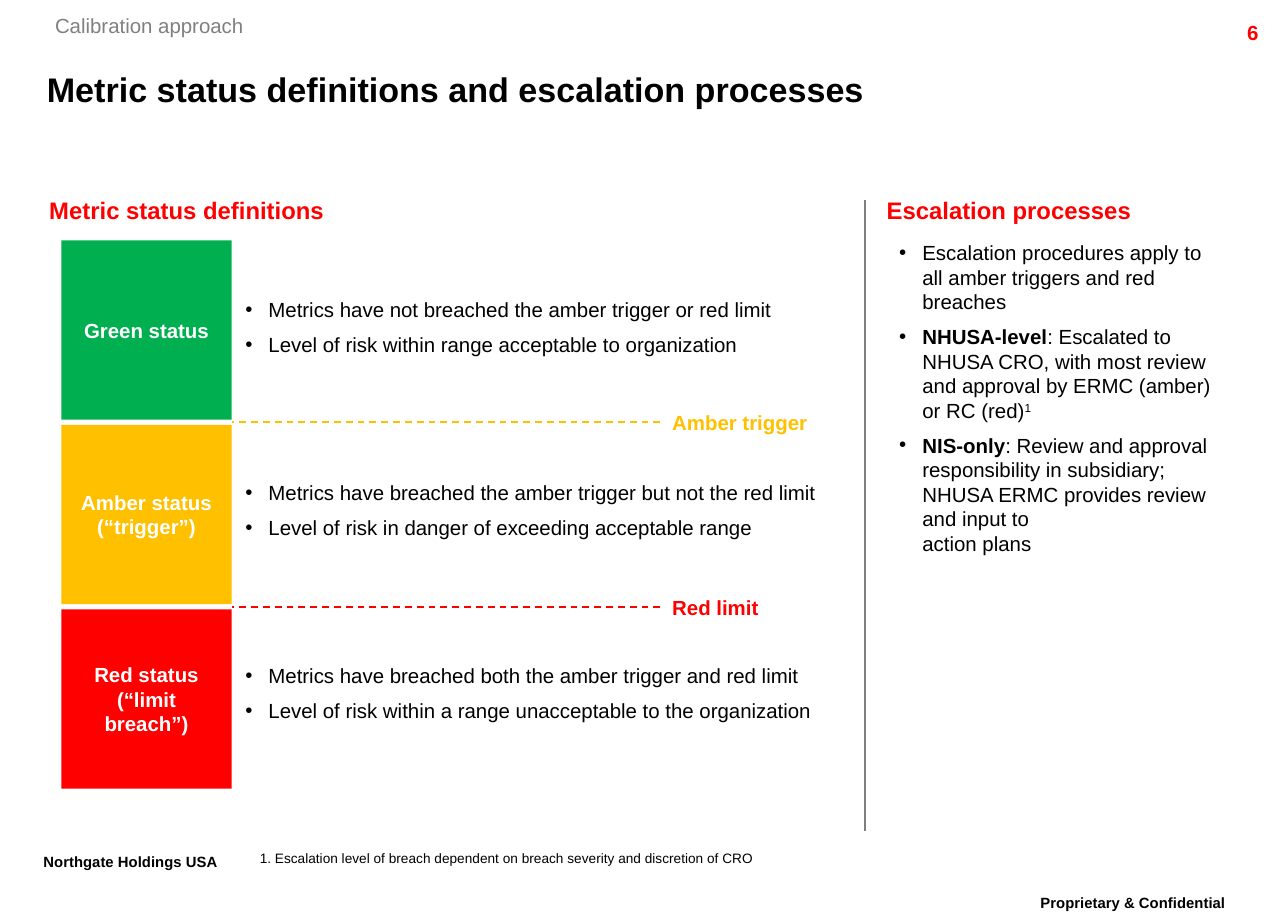
from lxml.etree import SubElement
from pptx import Presentation
from pptx.dml.color import RGBColor as RGB
from pptx.enum.dml import MSO_LINE_DASH_STYLE as DASH
from pptx.enum.shapes import MSO_CONNECTOR as CONN, MSO_SHAPE as SHAPE
from pptx.enum.text import MSO_ANCHOR as ANCHOR, MSO_AUTO_SIZE as AUTO, PP_ALIGN as ALIGN
from pptx.oxml.ns import qn
from pptx.util import Cm, Pt

COLORS = {
    "green": "00B050", "amber": "FFC000", "red": "FF0000", "black": "000000",
    "white": "FFFFFF", "grey": "808080", "rule": "7F7F7F",
}

# Status bars: label, colour, bullets, threshold below the bar with its colour
STATUSES = [
    ("Green status", "green",
     ["Metrics have not breached the amber trigger or red limit",
      "Level of risk within range acceptable to organization"],
     ("Amber trigger", "amber")),
    ("Amber status\n(“trigger”)", "amber",
     ["Metrics have breached the amber trigger but not the red limit",
      "Level of risk in danger of exceeding acceptable range"],
     ("Red limit", "red")),
    ("Red status\n(“limit breach”)", "red",
     ["Metrics have breached both the amber trigger and red limit",
      "Level of risk within a range unacceptable to the organization"],
     None),
]

# A paragraph is a string or a list of (text, style) runs
ESCALATION = [
    "Escalation procedures apply to all amber triggers and red breaches",
    [("NHUSA-level", "bold"),
     (": Escalated to NHUSA CRO, with most review and approval by ERMC (amber)\nor RC (red)", ""),
     ("1", "super")],
    [("NIS-only", "bold"),
     (": Review and approval responsibility in subsidiary; "
      "NHUSA ERMC provides review and input to\naction plans", "")],
]

BAR_LEFT, BAR_TOP, BAR_W, BAR_H, BAR_GAP = 1.27, 4.98, 3.53, 3.71, 0.11
LABEL_LEFT = 13.67


def rgb(name):
    return RGB.from_string(COLORS[name])


def add_bullet(p):
    pPr = p._p.get_or_add_pPr()
    pPr.set("marL", str(Cm(0.48)))
    pPr.set("indent", str(-Cm(0.48)))
    SubElement(pPr, qn("a:buFont")).set("typeface", "Arial")
    SubElement(pPr, qn("a:buChar")).set("char", "•")


def write(tf, paragraphs, size=12, color="black", bold=False, align=ALIGN.LEFT,
          anchor=ANCHOR.TOP, inset=(0, 0), bullets=False, gap=0):
    """Fill a text frame; inset is (sides, top and bottom) in cm."""
    tf.word_wrap = True
    tf.auto_size = AUTO.NONE
    tf.vertical_anchor = anchor
    tf.margin_left = tf.margin_right = Cm(inset[0])
    tf.margin_top = tf.margin_bottom = Cm(inset[1])
    for i, runs in enumerate(paragraphs):
        p = tf.paragraphs[0] if i == 0 else tf.add_paragraph()
        if bullets:
            add_bullet(p)
        p.alignment = align
        p.space_before = Pt(gap if i else 0)
        for text, style in [(runs, "")] if isinstance(runs, str) else runs:
            for j, line in enumerate(text.split("\n")):
                if j:
                    p.add_line_break()
                r = p.add_run()
                r.text = line
                r.font.name = "Arial"
                r.font.size = Pt(size)
                r.font.bold = bold or style == "bold"
                r.font.color.rgb = rgb(color)
                if style == "super":
                    r._r.get_or_add_rPr().set("baseline", "30000")


def add_text(s, box, paragraphs, **fmt):
    tb = s.shapes.add_textbox(*map(Cm, box))
    write(tb.text_frame, paragraphs, **fmt)


def add_bar(s, top, label, color):
    sp = s.shapes.add_shape(SHAPE.RECTANGLE, Cm(BAR_LEFT), Cm(top), Cm(BAR_W), Cm(BAR_H))
    sp.shadow.inherit = False
    sp.fill.solid()
    sp.fill.fore_color.rgb = rgb(color)
    sp.line.fill.background()
    write(sp.text_frame, label.split("\n"), color="white", bold=True,
          align=ALIGN.CENTER, anchor=ANCHOR.MIDDLE, inset=(0.25, 0.13))


def add_line(s, x1, y1, x2, y2, color, width, dash=None):
    ln = s.shapes.add_connector(CONN.STRAIGHT, Cm(x1), Cm(y1), Cm(x2), Cm(y2))
    ln.line.color.rgb = rgb(color)
    ln.line.width = Pt(width)
    if dash:
        ln.line.dash_style = dash
    SubElement(ln._element.spPr, qn("a:effectLst"))


def add_title(s, text):
    title = s.shapes.title
    title.left, title.top, title.width, title.height = map(Cm, (0.97, 1.24, 24.08, 1.22))
    write(title.text_frame, [text], size=20, bold=True, anchor=ANCHOR.MIDDLE)


def add_statuses(s):
    for i, (label, color, points, threshold) in enumerate(STATUSES):
        top = BAR_TOP + i * (BAR_H + BAR_GAP)
        add_bar(s, top, label, color)
        add_text(s, (5.08, 6.15 + i * 3.79, 12.42, 1.24), points, bullets=True, gap=6)
        if threshold:
            name, tint = threshold
            y = top + BAR_H + BAR_GAP / 2
            add_line(s, LABEL_LEFT, y, BAR_LEFT + BAR_W, y, tint, 1, DASH.DASH)
            add_text(s, (LABEL_LEFT, y - 0.38, 3.53, 0.76), [name], color=tint,
                     bold=True, inset=(0.25, 0.13))


def main():
    prs = Presentation()
    prs.slide_width, prs.slide_height = Cm(26.67), Cm(19.05)
    s = prs.slides.add_slide(prs.slide_layouts[5])

    # Header
    add_title(s, "Metric status definitions and escalation processes")
    add_text(s, (1.14, 0.28, 4.5, 0.51), ["Calibration approach"], color="grey")
    add_text(s, (23.77, 0.28, 2.54, 0.61), ["6"], color="red", bold=True,
             align=ALIGN.RIGHT, inset=(0.25, 0.13))

    # Status definitions
    add_text(s, (1.02, 4.06, 11.43, 0.61), ["Metric status definitions"],
             size=14, color="red", bold=True)
    add_statuses(s)

    # Escalation processes
    add_line(s, 17.91, 4.14, 17.91, 17.2, "rule", 0.75)
    add_text(s, (18.36, 4.06, 6.78, 0.61), ["Escalation processes"],
             size=14, color="red", bold=True)
    add_text(s, (18.62, 4.98, 6.78, 6.07), ESCALATION, bullets=True, gap=6)

    # Footer
    add_text(s, (5.38, 17.6, 14.99, 0.33),
             ["1. Escalation level of breach dependent on breach severity and discretion of CRO"],
             size=8, anchor=ANCHOR.BOTTOM)
    add_text(s, (0.9, 17.56, 4.4, 0.56), ["Northgate Holdings USA"],
             size=8.7, bold=True, anchor=ANCHOR.MIDDLE)
    add_text(s, (20.7, 18.42, 5.52, 0.56), ["Proprietary & Confidential"],
             size=8.7, bold=True, align=ALIGN.CENTER, anchor=ANCHOR.MIDDLE)

    prs.save("out.pptx")


if __name__ == "__main__":
    main()
